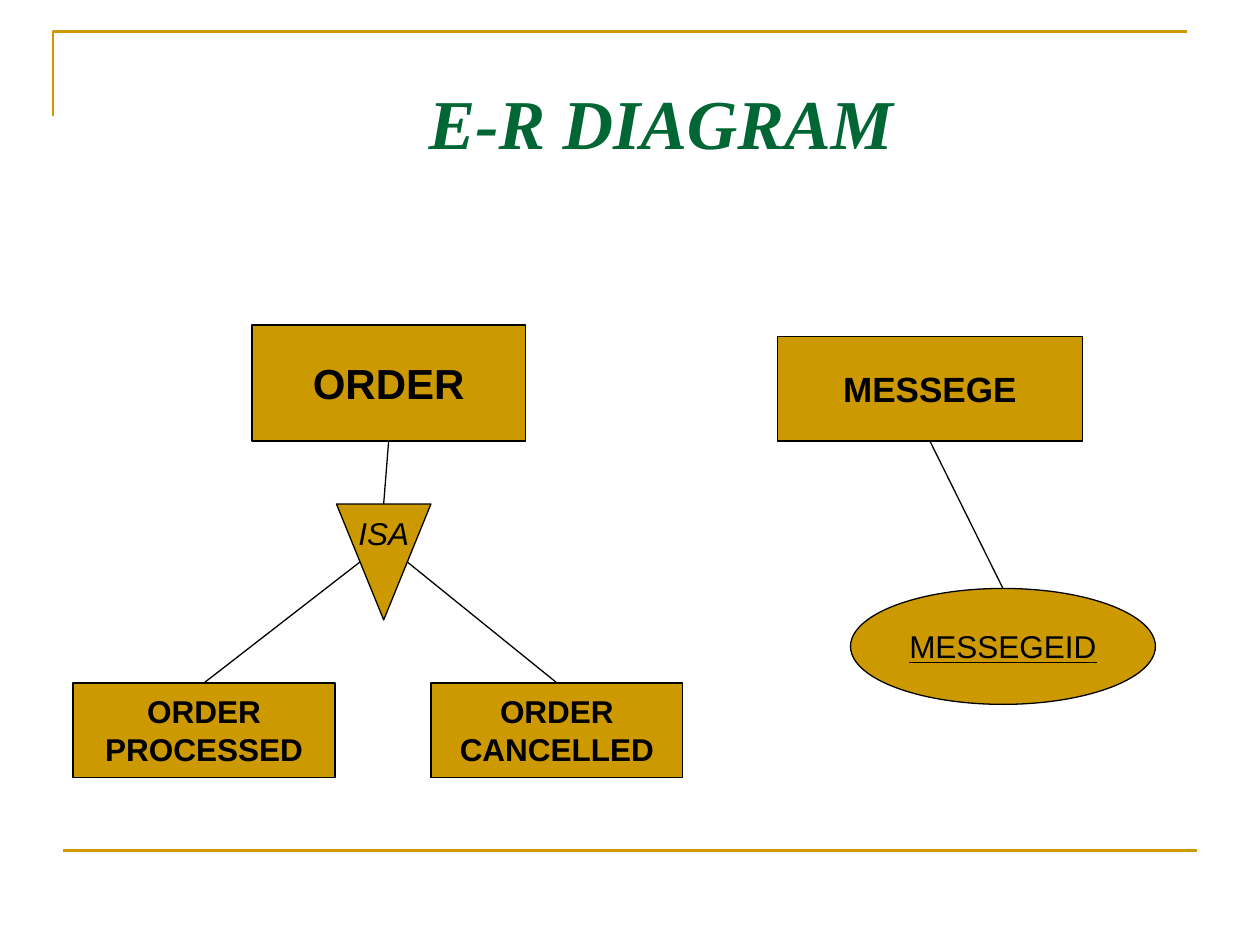
"""Build the E-R diagram slide."""
from dataclasses import dataclass

from pptx import Presentation
from pptx.dml.color import RGBColor
from pptx.enum.shapes import MSO_CONNECTOR as Connector, MSO_SHAPE as Preset
from pptx.enum.text import MSO_ANCHOR as Anchor, PP_ALIGN as Align
from pptx.oxml.ns import qn
from pptx.util import Inches, Pt
from lxml.etree import SubElement


@dataclass(frozen=True)
class Theme:
    """Colours, fonts and sizes of the slide."""
    gold: RGBColor = RGBColor(0xCC, 0x99, 0x00)
    green: RGBColor = RGBColor(0x00, 0x66, 0x33)
    black: RGBColor = RGBColor(0x00, 0x00, 0x00)
    body_font: str = "Arial"
    title_font: str = "Times New Roman"
    title_size: int = 40
    order_size: int = 24
    message_size: int = 20
    label_size: int = 18
    outline: float = 0.75
    rule: float = 1.5


THEME = Theme()


def write(frame, text, *, size=THEME.label_size, font=THEME.body_font,
          color=THEME.black, bold=False, italic=False, underline=False,
          anchor=Anchor.MIDDLE, wrap=False):
    """Fill a text frame with centred lines in one format."""
    frame.text = text
    frame.word_wrap = wrap
    frame.vertical_anchor = anchor
    for paragraph in frame.paragraphs:
        paragraph.alignment = Align.CENTER
        style = paragraph.font
        style.size = Pt(size)
        style.name = font
        style.color.rgb = color
        style.bold, style.italic, style.underline = bold, italic, underline


def add_title(slide, text, box):
    """Add the slide title."""
    title = slide.shapes.add_textbox(*map(Inches, box))
    write(title.text_frame, text, size=THEME.title_size, font=THEME.title_font,
          color=THEME.green, bold=True, italic=True, anchor=Anchor.TOP, wrap=True)


def add_node(slide, preset, text, box, **text_format):
    """Add a gold, outlined diagram node with its label."""
    node = slide.shapes.add_shape(preset, *map(Inches, box))
    node.shadow.inherit = False
    node.fill.solid()
    node.fill.fore_color.rgb = THEME.gold
    node.line.color.rgb = THEME.black
    node.line.width = Pt(THEME.outline)
    write(node.text_frame, text, **text_format)
    return node


def add_isa(slide, box):
    """Add the downward ISA triangle with upright text."""
    isa = add_node(slide, Preset.ISOSCELES_TRIANGLE, "ISA", box, italic=True)
    isa.rotation = 180
    isa.element.txBody.bodyPr.set("rot", "10800000")


def add_link(slide, start, end, color=THEME.black, width=THEME.outline):
    """Draw a straight line between two points."""
    link = slide.shapes.add_connector(Connector.STRAIGHT, *map(Inches, start + end))
    link.line.color.rgb = color
    link.line.width = Pt(width)
    SubElement(link.element.spPr, qn("a:effectLst"))


def add_frame(slide):
    """Draw the gold corner and the bottom rule."""
    builder = slide.shapes.build_freeform(Inches(0.42), Inches(0.92))
    builder.add_line_segments(
        [(Inches(0.42), Inches(0.25)), (Inches(9.42), Inches(0.25))], close=False)
    corner = builder.convert_to_shape()
    corner.shadow.inherit = False
    corner.fill.background()
    corner.line.color.rgb = THEME.gold
    corner.line.width = Pt(THEME.rule)
    add_link(slide, (0.5, 6.75), (9.5, 6.75), THEME.gold, THEME.rule)


def point_on(box, across, down):
    """Return the point at the given fractions of a box."""
    left, top, width, height = box
    return left + across * width, top + down * height


def main():
    """Build and save the slide."""
    deck = Presentation()
    deck.slide_width, deck.slide_height = Inches(10), Inches(7.5)
    slide = deck.slides.add_slide(deck.slide_layouts[6])

    order = (2, 2.58, 2.17, 0.92)
    isa = (2.67, 4, 0.75, 0.92)
    processed = (0.58, 5.42, 2.08, 0.75)
    cancelled = (3.42, 5.42, 2, 0.75)
    message = (6.17, 2.67, 2.42, 0.83)
    message_id = (6.75, 4.67, 2.42, 0.92)

    add_frame(slide)
    add_node(slide, Preset.RECTANGLE, "ORDER", order, size=THEME.order_size, bold=True)
    add_isa(slide, isa)
    add_node(slide, Preset.RECTANGLE, "ORDER\nPROCESSED", processed, bold=True)
    add_node(slide, Preset.RECTANGLE, "ORDER\nCANCELLED", cancelled, bold=True)
    add_node(slide, Preset.RECTANGLE, "MESSEGE", message,
             size=THEME.message_size, bold=True)
    add_title(slide, "E-R DIAGRAM", (2.83, 0.58, 4.83, 0.77))
    add_node(slide, Preset.OVAL, "MESSEGEID", message_id, underline=True)

    add_link(slide, point_on(order, 0.5, 1), point_on(isa, 0.5, 0))
    add_link(slide, point_on(isa, 0.25, 0.5), point_on(processed, 0.5, 0))
    add_link(slide, point_on(isa, 0.75, 0.5), point_on(cancelled, 0.5, 0))
    add_link(slide, point_on(message, 0.5, 1), point_on(message_id, 0.5, 0))
    deck.save("out.pptx")


if __name__ == "__main__":
    main()
